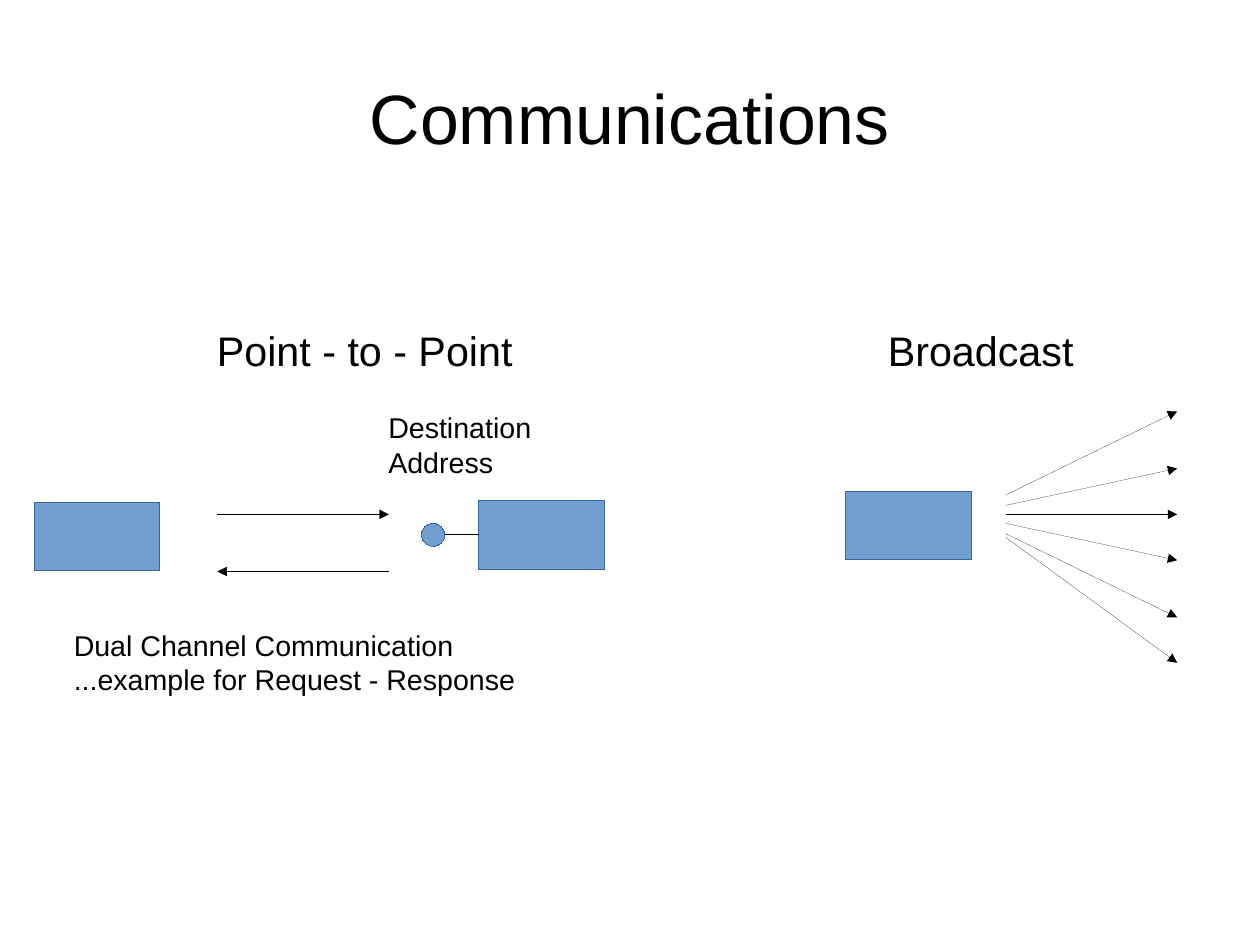
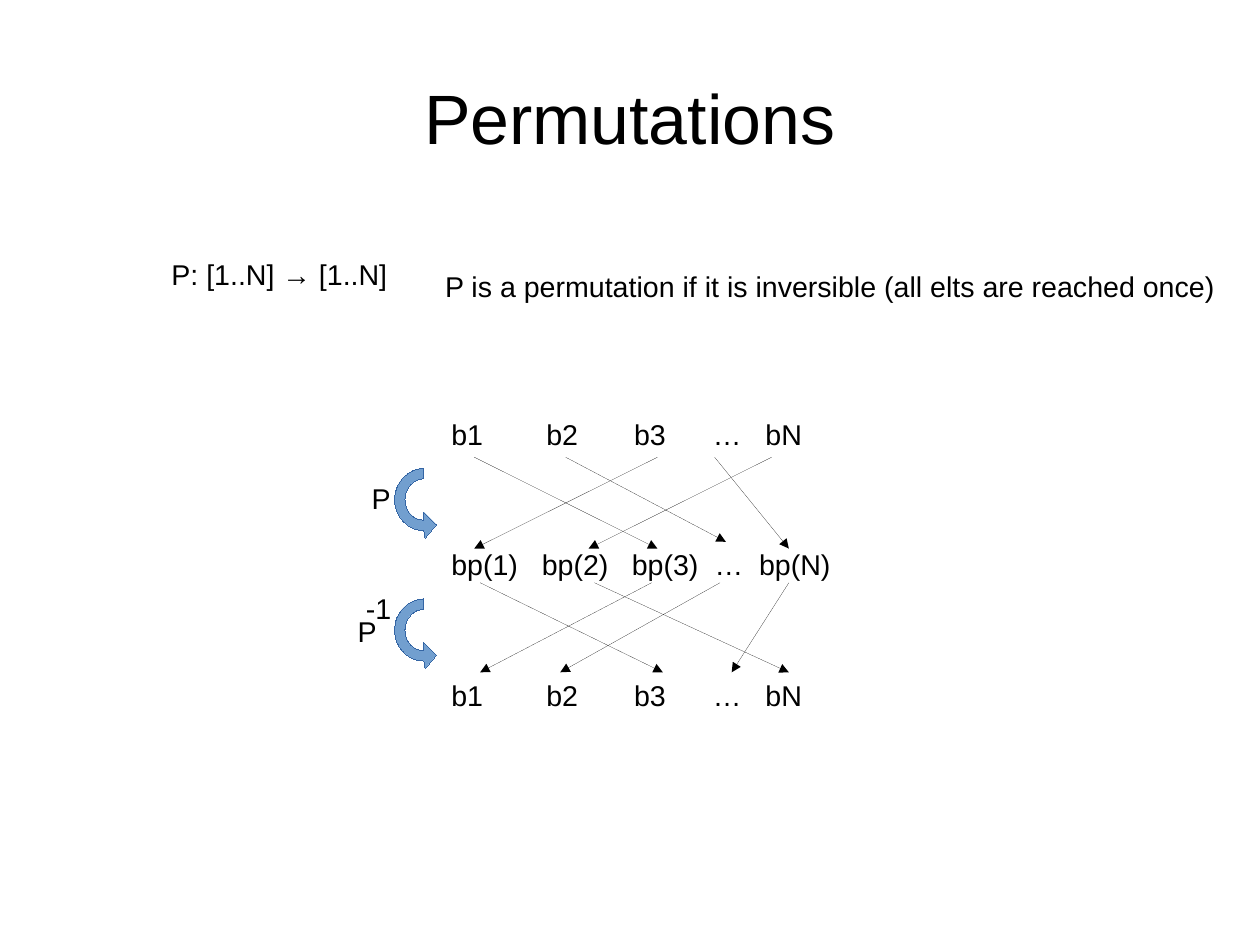
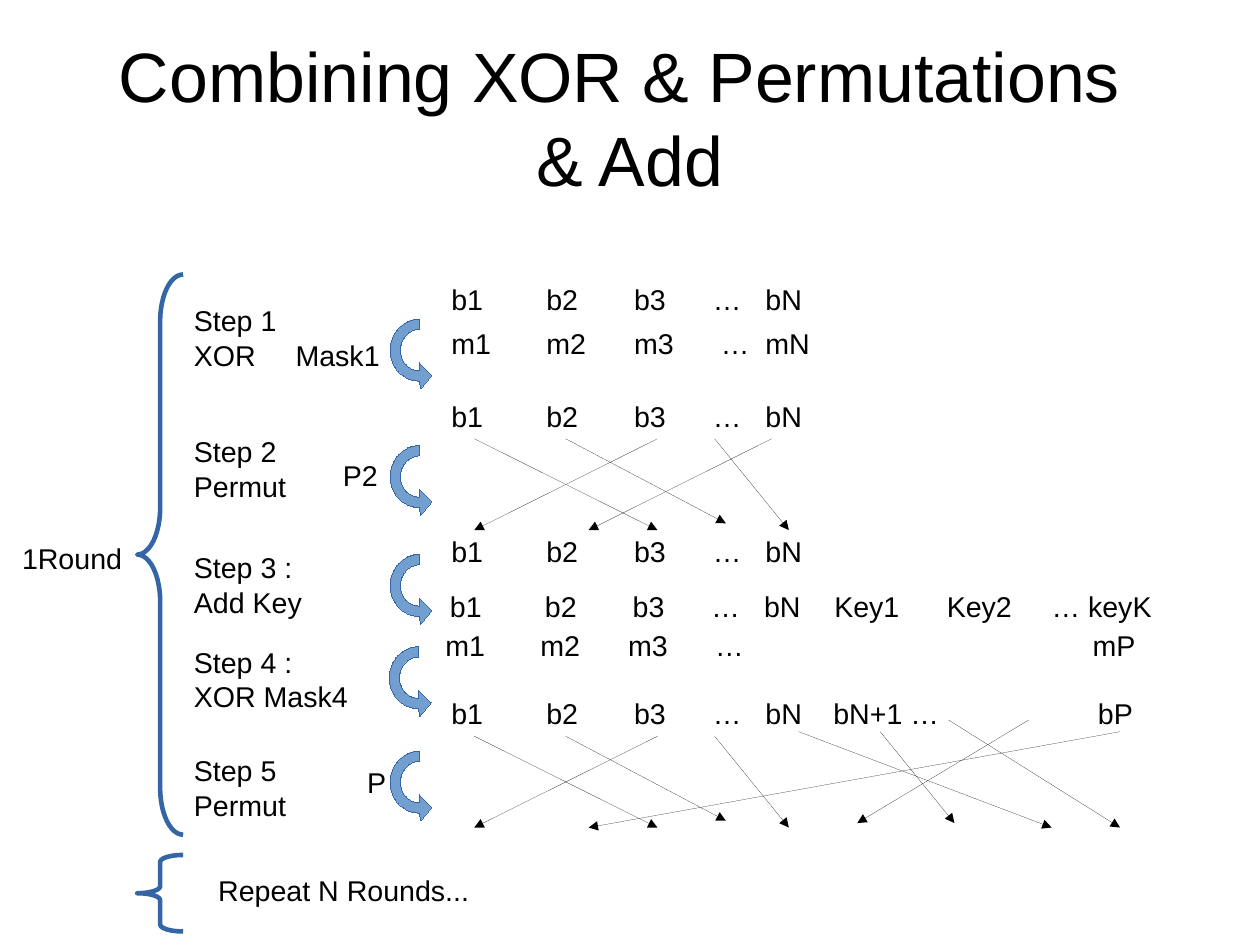
from typing import NamedTuple

from lxml.etree import SubElement
from pptx import Presentation
from pptx.dml.color import RGBColor
from pptx.dml.line import LineFormat
from pptx.enum.shapes import MSO_CONNECTOR, MSO_SHAPE
from pptx.enum.text import MSO_ANCHOR, PP_ALIGN
from pptx.oxml.ns import qn
from pptx.shapes.autoshape import Shape
from pptx.slide import Slide
from pptx.util import Cm, Pt

BLACK = RGBColor(0x00, 0x00, 0x00)
BLUE = RGBColor(0x72, 0x9F, 0xCF)
DARK_BLUE = RGBColor(0x34, 0x65, 0xA4)
FONT = "Arial"
BRACE_WEIGHT = 2.89

BITS = "b1\tb2\tb3\t…\tbN"
BIT_TABS = (2.11, 4.06, 5.81, 6.98)
MASK_TABS = (2.11, 4.06, 5.99, 6.98)
BIT_LEFT = 9.78


class Label(NamedTuple):
    text: str
    left: float
    top: float
    width: float = 8
    tabs: tuple[float, ...] = ()
    size: float = 18


class Arrow(NamedTuple):
    x1: float
    y1: float
    x2: float
    y2: float


class Box(NamedTuple):
    left: float
    top: float
    width: float
    height: float


class Point(NamedTuple):
    x: float
    y: float


NODE_SIZE = (2.79, 1.52)
TITLE_BOX = Box(1.4, 0.84, 25.2, 3.51)
PERMUTATION = (
    Arrow(10.54, 0, 14.61, 2.03),
    Arrow(14.61, 0, 10.54, 2.03),
    Arrow(15.88, 0, 17.53, 2.03),
    Arrow(12.57, 0, 16.13, 1.88),
    Arrow(17.15, 0, 13.08, 2.03),
)


def add_text(
    slide: Slide,
    text: str,
    box: Box,
    *,
    size: float = 18,
    align: PP_ALIGN = PP_ALIGN.LEFT,
    anchor: MSO_ANCHOR = MSO_ANCHOR.TOP,
    inset: tuple[float, float] = (0.25, 0.13),
    tabs: tuple[float, ...] = (),
) -> None:
    shape = slide.shapes.add_textbox(*(Cm(length) for length in box))
    frame = shape.text_frame
    frame.word_wrap = True
    frame.vertical_anchor = anchor
    frame.margin_left = frame.margin_right = Cm(inset[0])
    frame.margin_top = frame.margin_bottom = Cm(inset[1])
    paragraph = frame.paragraphs[0]
    paragraph.text = text
    paragraph.alignment = align
    if tabs:
        tab_list = SubElement(paragraph._p.get_or_add_pPr(), qn("a:tabLst"))
        for position in tabs:
            SubElement(tab_list, qn("a:tab"), pos=str(Cm(position)), algn="l")
    for run in paragraph.runs:
        run.font.name = FONT
        run.font.size = Pt(size)
        run.font.color.rgb = BLACK


def add_title(slide: Slide, text: str) -> None:
    add_text(slide, text, TITLE_BOX, size=44, align=PP_ALIGN.CENTER,
             anchor=MSO_ANCHOR.MIDDLE, inset=(0, 0))


def add_labels(slide: Slide, labels: tuple[Label, ...]) -> None:
    for label in labels:
        box = Box(label.left, label.top, label.width, 0.97)
        add_text(slide, label.text, box, size=label.size, tabs=label.tabs)


def set_hairline(line: LineFormat, color: RGBColor) -> None:
    line.color.rgb = color
    line._get_or_add_ln().set("w", "0")


def add_line(slide: Slide, line: Arrow, head: bool = True) -> None:
    connector = slide.shapes.add_connector(
        MSO_CONNECTOR.STRAIGHT, *(Cm(length) for length in line))
    set_hairline(connector.line, BLACK)
    if head:
        SubElement(connector.line._get_or_add_ln(), qn("a:tailEnd"), type="triangle")
    SubElement(connector._element.spPr, qn("a:effectLst"))


def add_arrows(slide: Slide, arrows: tuple[Arrow, ...], top: float = 0) -> None:
    for arrow in arrows:
        add_line(slide, Arrow(arrow.x1, top + arrow.y1, arrow.x2, top + arrow.y2))


def style_blue(shape: Shape) -> None:
    shape.shadow.inherit = False
    shape.fill.solid()
    shape.fill.fore_color.rgb = BLUE
    set_hairline(shape.line, DARK_BLUE)


def add_blue_shape(slide: Slide, kind: MSO_SHAPE, box: Box) -> None:
    style_blue(slide.shapes.add_shape(kind, *(Cm(length) for length in box)))


def add_brace(slide: Slide, box: Box, curve: float) -> None:
    brace = slide.shapes.add_shape(
        MSO_SHAPE.LEFT_BRACE, *(Cm(length) for length in box))
    brace.adjustments[0] = curve
    brace.shadow.inherit = False
    brace.fill.background()
    brace.line.color.rgb = DARK_BLUE
    brace.line.width = Pt(BRACE_WEIGHT)


def half_ring(width: float, height: float) -> list[Point]:
    bend = 0.55
    upper = [Point(0, -height), Point(-bend * width, -height),
             Point(-width, -bend * height), Point(-width, 0)]
    return upper + [Point(point.x, -point.y) for point in reversed(upper[:-1])]


def add_turn_arrow(slide: Slide, center: Point) -> None:
    head = [Point(0.03, 0.86), Point(0.28, 0.56), Point(0, 0.28)]
    outline = half_ring(0.65, 0.69) + head + half_ring(0.42, 0.46)[::-1]
    corners = [(Cm(center.x + point.x), Cm(center.y + point.y)) for point in outline]
    builder = slide.shapes.build_freeform(*corners[0])
    builder.add_line_segments(corners[1:], close=True)
    shape = builder.convert_to_shape()
    segments = list(shape._element.iter(qn("a:lnTo")))
    outline_element = segments[0].getparent()
    for start in (0, 3, 10, 13):
        curve = SubElement(outline_element, qn("a:cubicBezTo"))
        segments[start].addprevious(curve)
        for segment in segments[start:start + 3]:
            curve.append(segment[0])
            outline_element.remove(segment)
    style_blue(shape)


def build_communications(slide: Slide) -> None:
    add_title(slide, "Communications")
    add_labels(slide, (
        Label("Point - to - Point", 4.57, 7.1, size=26),
        Label("Broadcast", 19.48, 7.1, size=26),
        Label("Destination\nAddress", 8.38, 8.99),
        Label("Dual Channel Communication\n...example for Request - Response",
              1.39, 13.82, 12),
    ))
    for left, top in ((0.76, 11.17), (10.64, 11.13), (18.79, 10.92)):
        add_blue_shape(slide, MSO_SHAPE.RECTANGLE, Box(left, top, *NODE_SIZE))
    add_line(slide, Arrow(10.64, 11.88, 9.88, 11.88), head=False)
    add_blue_shape(slide, MSO_SHAPE.OVAL, Box(9.37, 11.63, 0.51, 0.51))
    add_arrows(slide, (
        Arrow(4.83, 11.43, 8.64, 11.43),
        Arrow(8.64, 12.7, 4.83, 12.7),
    ))
    broadcast_heights = ((11.0, 9.14), (11.23, 10.41), (11.43, 11.43),
                         (11.63, 12.45), (11.86, 13.72), (11.94, 14.73))
    add_arrows(slide, tuple(
        Arrow(22.35, start, 26.16, end) for start, end in broadcast_heights))


def build_permutations(slide: Slide) -> None:
    add_title(slide, "Permutations")
    add_labels(slide, (
        Label("P: [1..N] → [1..N]", 3.56, 5.59, 6),
        Label("P is a permutation if it is inversible (all elts are reached once)",
              9.64, 5.84, 18.3),
        Label(BITS, BIT_LEFT, 9.14, 10, BIT_TABS),
        Label("bp(1)\tbp(2)\tbp(3)\t…\tbp(N)", BIT_LEFT, 12.03, 10,
              (2.01, 4.01, 5.85, 6.84)),
        Label(BITS, BIT_LEFT, 14.94, 10, BIT_TABS),
        Label("P", 8.01, 10.55, 1.3),
        Label("P", 7.7, 13.51, 1.3),
        Label("-1", 7.88, 13, 1.3),
    ))
    add_arrows(slide, PERMUTATION, 10.16)
    add_arrows(slide, (
        Arrow(14.48, 0, 10.67, 1.99),
        Arrow(10.67, 0, 14.73, 1.99),
        Arrow(16, 0, 12.45, 1.99),
        Arrow(17.53, 0, 16.26, 1.99),
        Arrow(13.21, 0, 17.53, 1.99),
    ), 12.95)
    for y in (11.1, 14):
        add_turn_arrow(slide, Point(9.42, y))


def build_combining(slide: Slide) -> None:
    add_title(slide, "Combining XOR & Permutations \n& Add")
    add_labels(slide, (
        Label(BITS, BIT_LEFT, 6.14, 10, BIT_TABS),
        Label("m1\tm2\tm3\t…\tmN", BIT_LEFT, 7.11, 10, MASK_TABS),
        Label(BITS, BIT_LEFT, 8.74, 10, BIT_TABS),
        Label(BITS, BIT_LEFT, 11.73, 10, BIT_TABS),
        Label(BITS, 9.75, 12.95, 10, BIT_TABS),
        Label("Key1\tKey2\t… keyK", 18.29, 12.95, 9, (2.5, 4.83)),
        Label("m1\tm2\tm3\t…\tmP", 9.65, 13.82, 17, (*MASK_TABS[:3], 14.38)),
        Label(BITS + "\tbN+1 …\tbP", BIT_LEFT, 15.34, 17, (*BIT_TABS, 8.49, 14.37)),
        Label("Step 1\nXOR\tMask1", 4.06, 6.61, 5.5, (2.26,)),
        Label("Step 2\nPermut", 4.06, 9.52, 5),
        Label("Step 3 :\nAdd Key", 4.06, 12.1, 5),
        Label("Step 4 :\nXOR Mask4", 4.06, 14.2, 5),
        Label("Step 5\nPermut", 4.06, 16.61, 5),
        Label("P2", 7.37, 10.05, 1.5),
        Label("P", 7.91, 16.86, 1.3),
        Label("1Round", 0.24, 11.89, 3),
        Label("Repeat N Rounds...", 4.6, 19.28),
    ))
    add_arrows(slide, PERMUTATION, 9.75)
    add_arrows(slide, PERMUTATION[:-1], 16.36)
    add_arrows(slide, (
        Arrow(24.89, 16.26, 13.08, 18.39),
        Arrow(19.56, 16.26, 21.21, 18.29),
        Arrow(17.75, 16.26, 23.37, 18.39),
        Arrow(22.86, 16, 19.05, 18.29),
        Arrow(21.08, 16, 24.89, 18.39),
    ))
    for x, y in ((9.32, 7.78), (9.32, 10.59), (9.32, 13.01), (9.3, 15.06),
                 (9.32, 17.38)):
        add_turn_arrow(slide, Point(x, y))
    add_brace(slide, Box(3.05, 6.1, 1.02, 12.45), 1.02)
    add_brace(slide, Box(3.05, 19, 1.02, 1.7), 0.15)


def main() -> None:
    presentation = Presentation()
    presentation.slide_width = Cm(28)
    presentation.slide_height = Cm(21)
    blank_layout = presentation.slide_layouts[6]
    for build in (build_communications, build_permutations, build_combining):
        build(presentation.slides.add_slide(blank_layout))
    presentation.save("out.pptx")


if __name__ == "__main__":
    main()
